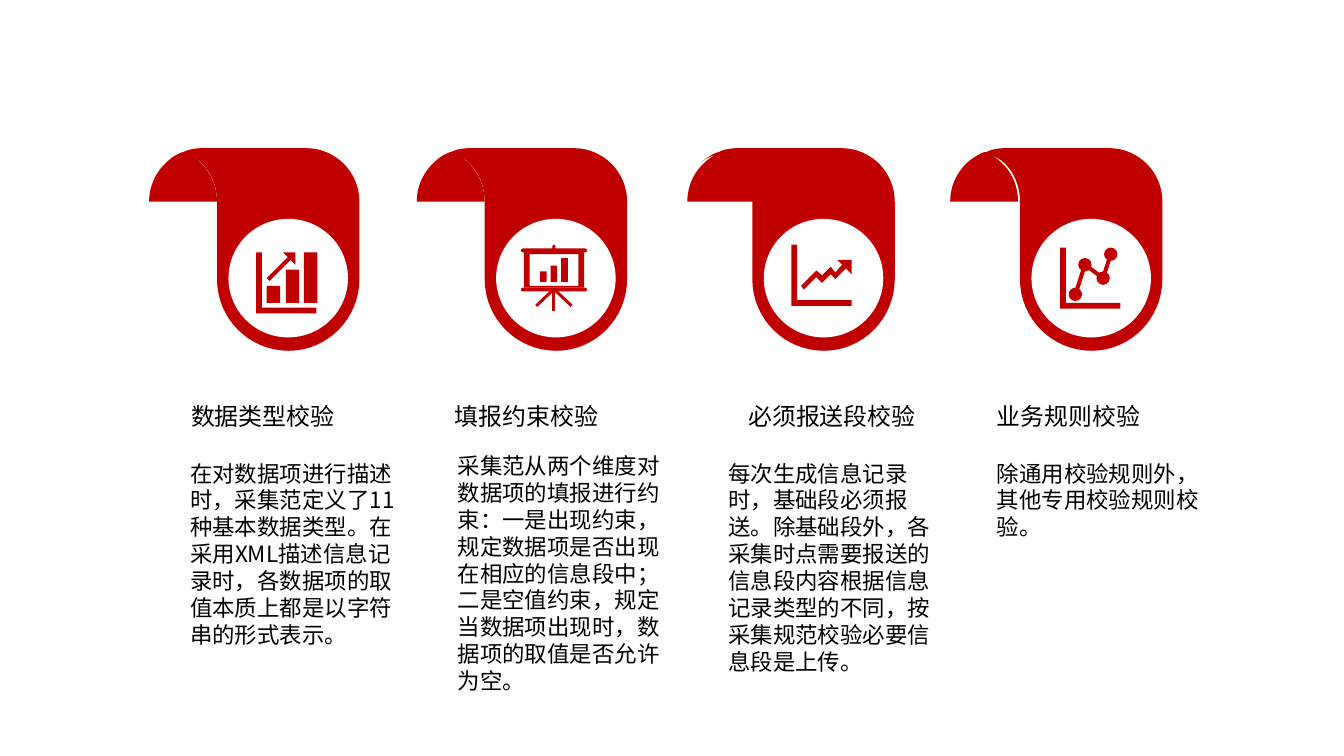
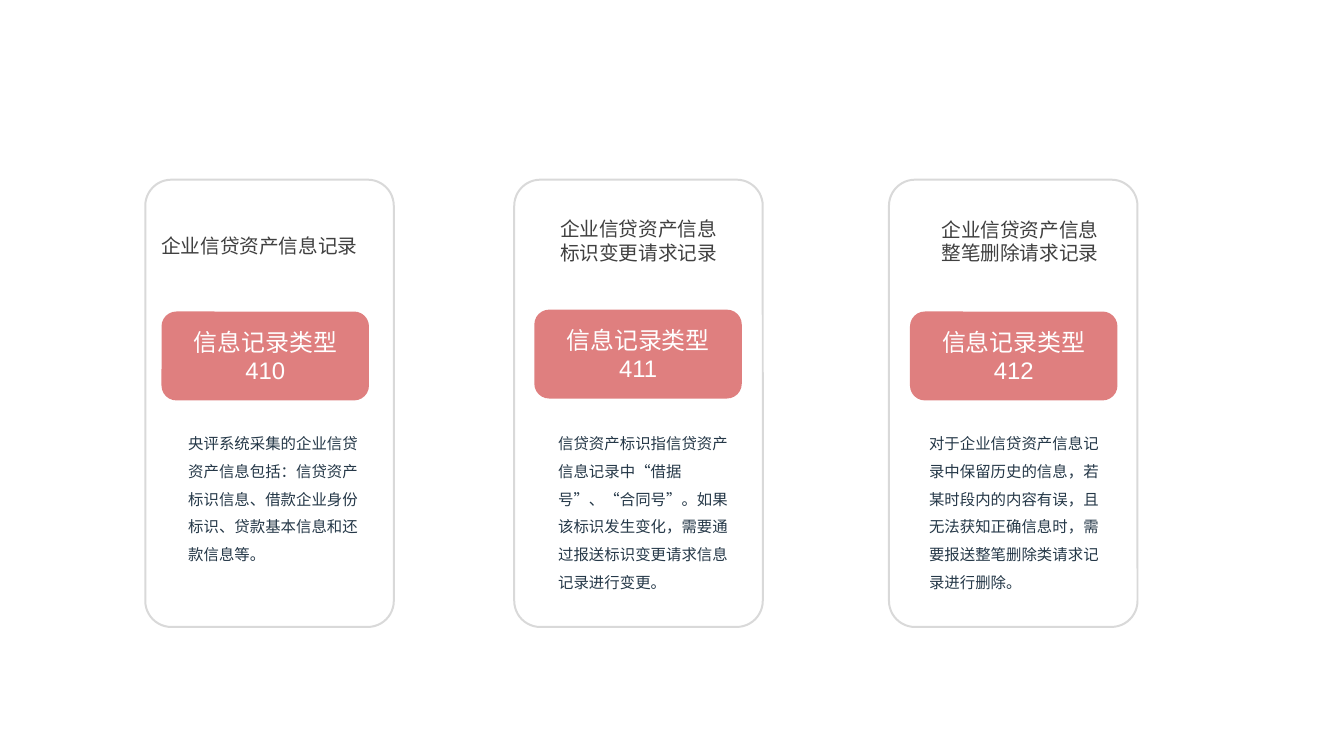
"""Build two slides: four validation checks and three record types."""
from lxml.etree import SubElement
from pptx import Presentation
from pptx.dml.color import RGBColor
from pptx.enum.shapes import MSO_CONNECTOR, MSO_SHAPE
from pptx.enum.text import MSO_ANCHOR, MSO_AUTO_SIZE, PP_ALIGN
from pptx.oxml.ns import qn
from pptx.util import Inches, Pt

COLORS = {"red": "C00000", "white": "FFFFFF", "black": "000000",
          "border": "D9D9D9", "heading": "404040", "body": "253848"}
CJK_FONT = "Noto Sans CJK SC"
LATIN_FONT = "Arial"

CHECKS = [
    {"heading": "数据类型校验", "heading_at": (1.9, 4.15, 1.72, 0.4), "fold_left": 1.56,
     "body": "在对数据项进行描述时，采集范定义了11种基本数据类型。在采用XML描述信息记录时，"
             "各数据项的取值本质上都是以字符串的形式表示。",
     "body_at": (1.89, 4.76, 2.41, 2.09)},
    {"heading": "填报约束校验", "heading_at": (4.66, 4.15, 1.72, 0.4), "fold_left": 4.36,
     "body": "采集范从两个维度对数据项的填报进行约束：一是出现约束，规定数据项是否出现在相应的信息段中；"
             "二是空值约束，规定当数据项出现时，数据项的取值是否允许为空。",
     "body_at": (4.69, 4.68, 2.36, 2.66)},
    {"heading": "必须报送段校验", "heading_at": (7.73, 4.15, 1.97, 0.4), "fold_left": 7.19,
     "body": "每次生成信息记录时，基础段必须报送。除基础段外，各采集时点需要报送的信息段内容"
             "根据信息记录类型的不同，按采集规范校验必要信息段是上传。",
     "body_at": (7.52, 4.76, 2.39, 2.37)},
    {"heading": "业务规则校验", "heading_at": (10.33, 4.15, 1.72, 0.4), "fold_left": 9.94,
     "body": "除通用校验规则外，其他专用校验规则校验。",
     "body_at": (10.33, 4.76, 2.34, 0.95)},
]

RECORDS = [
    {"heading": ["企业信贷资产信息记录"], "heading_at": (1.59, 2.4, 2.27, 0.35),
     "card_left": 1.52, "pill_at": (1.69, 3.26), "code": "410",
     "body": "央评系统采集的企业信贷资产信息包括：信贷资产标识信息、借款企业身份标识、"
             "贷款基本信息和还款信息等。",
     "body_at": (1.87, 4.4, 1.98, 1.53)},
    {"heading": ["企业信贷资产信息", "标识变更请求记录"], "heading_at": (5.75, 2.22, 1.86, 0.6),
     "card_left": 5.38, "pill_at": (5.59, 3.24), "code": "411",
     "body": "信贷资产标识指信贷资产信息记录中“借据号”、“合同号”。如果该标识发生变化，"
             "需要通过报送标识变更请求信息记录进行变更。",
     "body_at": (5.74, 4.4, 1.98, 1.82)},
    {"heading": ["企业信贷资产信息", "整笔删除请求记录"], "heading_at": (9.74, 2.23, 1.86, 0.6),
     "card_left": 9.3, "pill_at": (9.52, 3.26), "code": "412",
     "body": "对于企业信贷资产信息记录中保留历史的信息，若某时段内的内容有误，且无法获知正确信息时，"
             "需要报送整笔删除类请求记录进行删除。",
     "body_at": (9.62, 4.4, 1.98, 1.82)},
]

RIBBON_PITCH = 2.8
CURVE_STEPS = 16
FOLD = [(0.36, 0), (0.15, 0.08, 0, 0.28, 0, 0.52), (0.71, 0.52),
        (0.71, 0.28, 0.57, 0.08, 0.36, 0)]
RIBBON = [(3.2, 1.55), (2.13, 1.55), (2.05, 1.55, 1.98, 1.56, 1.92, 1.59),
          (1.85, 1.61, 1.79, 1.65, 1.74, 1.7), (1.84, 1.6, 1.99, 1.6, 2.1, 1.7),
          (2.21, 1.8, 2.27, 1.95, 2.27, 2.11), (2.27, 2.92),
          (2.27, 3.33, 2.6, 3.67, 3.02, 3.67), (3.43, 3.67, 3.76, 3.33, 3.76, 2.92),
          (3.76, 2.11), (3.76, 1.8, 3.51, 1.55, 3.2, 1.55)]
AXES = [(0, 0), (0.06, 0), (0.06, 0.58), (0.63, 0.58), (0.63, 0.64), (0, 0.64)]
RISING_ARROW = [(3.09, 2.77), (3.09, 2.64), (2.96, 2.64), (3.01, 2.69),
                (2.79, 2.91), (2.82, 2.94), (3.04, 2.72)]
ZIGZAG_ARROW = [(8.76, 2.72), (8.81, 2.77), (8.74, 2.85), (8.69, 2.79), (8.6, 2.88),
                (8.54, 2.83), (8.38, 2.99), (8.41, 3.03), (8.54, 2.9), (8.6, 2.96),
                (8.69, 2.87), (8.74, 2.92), (8.85, 2.81), (8.91, 2.87), (8.91, 2.72)]
BOARD = [(5.48, 2.63), (6.11, 2.63), (6.11, 3.01), (5.48, 3.01)]
BOARD_WINDOW = [(5.54, 2.66), (5.54, 2.99), (6.05, 2.99), (6.05, 2.66)]
BOARD_RAILS = [(5.45, 2.6, 0.69, 0.04), (5.45, 3.01, 0.69, 0.04), (5.78, 2.56, 0.03, 0.06)]
BOARD_LEGS = [(5.79, 3.03, 5.61, 3.2), (5.79, 3.03, 5.79, 3.25), (5.8, 3.03, 5.98, 3.2)]
CHART_BARS = [(2.79, 2.99, 0.14, 0.18), (2.99, 2.82, 0.14, 0.35), (3.18, 2.64, 0.14, 0.53)]
BOARD_BARS = [(5.65, 2.84, 0.07, 0.11), (5.76, 2.78, 0.07, 0.17), (5.87, 2.7, 0.07, 0.25)]
DOTS = [(11.25, 3.08), (11.35, 2.77), (11.54, 2.91), (11.62, 2.66)]
DOT_RADIUS = 0.07


def color(name):
    return RGBColor.from_string(COLORS[name])


def flatten(steps):
    """Turn points and cubic curves into a list of points."""
    points = []
    for step in steps:
        if len(step) == 2:
            points.append(step)
            continue
        start = points[-1]
        for index in range(1, CURVE_STEPS + 1):
            t = index / CURVE_STEPS
            weights = ((1 - t) ** 3, 3 * t * (1 - t) ** 2, 3 * t * t * (1 - t), t ** 3)
            controls = (start, step[:2], step[2:4], step[4:])
            points.append(tuple(sum(weight * control[axis]
                                    for weight, control in zip(weights, controls))
                                for axis in (0, 1)))
    return points


def paint(shape, fill):
    shape.shadow.inherit = False
    shape.fill.solid()
    shape.fill.fore_color.rgb = color(fill)
    shape.line.fill.background()
    return shape


def add_outline(shapes, *contours, left=0, top=0):
    """Draw closed red contours as one shape."""
    builder = None
    for contour in contours:
        points = [(Inches(left + x), Inches(top + y)) for x, y in flatten(contour)]
        if builder is None:
            builder = shapes.build_freeform(*points[0], scale=1.0)
        else:
            builder.move_to(*points[0])
        builder.add_line_segments(points[1:], close=True)
    return paint(builder.convert_to_shape(), "red")


def add_preset(shapes, kind, at, fill="red"):
    return paint(shapes.add_shape(kind, *map(Inches, at)), fill)


def add_stroke(shapes, ends, width):
    stroke = shapes.add_connector(MSO_CONNECTOR.STRAIGHT, *map(Inches, ends))
    stroke.line.color.rgb = color("red")
    stroke.line.width = Pt(width)
    SubElement(stroke.element.spPr, qn("a:effectLst"))


def write(frame, lines, size, ink, latin=CJK_FONT, align=PP_ALIGN.LEFT, spacing=None):
    for index, line in enumerate(lines):
        para = frame.paragraphs[0] if index == 0 else frame.add_paragraph()
        para.text = line
        para.alignment = align
        if spacing:
            para.line_spacing = spacing
        para.font.size = Pt(size)
        para.font.name = latin
        para.font.color.rgb = color(ink)
        properties = para._p.get_or_add_pPr()
        properties.set("hangingPunct", "0")
        east_asian = SubElement(properties.find(qn("a:defRPr")), qn("a:ea"))
        east_asian.set("typeface", CJK_FONT)


def add_text(page, at, lines, size, ink, wrap=True, **style):
    frame = page.shapes.add_textbox(*map(Inches, at)).text_frame
    frame.word_wrap = wrap
    frame.auto_size = MSO_AUTO_SIZE.SHAPE_TO_FIT_TEXT
    write(frame, lines, size, ink, **style)


def draw_bar_icon(shapes):
    add_outline(shapes, AXES, left=2.68, top=2.64)
    for bar in CHART_BARS:
        add_preset(shapes, MSO_SHAPE.RECTANGLE, bar)
    add_outline(shapes, RISING_ARROW)


def draw_board_icon(shapes):
    add_outline(shapes, BOARD, BOARD_WINDOW)
    for rail in BOARD_RAILS:
        add_preset(shapes, MSO_SHAPE.ROUNDED_RECTANGLE, rail).adjustments[0] = 0.5
    for leg in BOARD_LEGS:
        add_stroke(shapes, leg, 2.25)
    for bar in BOARD_BARS:
        add_preset(shapes, MSO_SHAPE.RECTANGLE, bar)


def draw_trend_icon(shapes):
    add_outline(shapes, AXES, left=8.28, top=2.56)
    add_outline(shapes, ZIGZAG_ARROW)


def draw_dot_icon(shapes):
    add_outline(shapes, AXES, left=11.09, top=2.59)
    for start, end in zip(DOTS, DOTS[1:]):
        add_stroke(shapes, start + end, 3)
    for x, y in DOTS:
        add_preset(shapes, MSO_SHAPE.OVAL,
                   (x - DOT_RADIUS, y - DOT_RADIUS, 2 * DOT_RADIUS, 2 * DOT_RADIUS))


def build_checks(page):
    icons = (draw_bar_icon, draw_board_icon, draw_trend_icon, draw_dot_icon)
    for index, (check, draw_icon) in enumerate(zip(CHECKS, icons)):
        shift = index * RIBBON_PITCH
        add_outline(page.shapes, FOLD, left=check["fold_left"], top=1.59)
        add_outline(page.shapes, RIBBON, left=shift)
        add_preset(page.shapes, MSO_SHAPE.OVAL, (2.39 + shift, 2.29, 1.25, 1.24), "white")
        draw_icon(page.shapes.add_group_shape().shapes)
        add_text(page, check["heading_at"], [check["heading"]], 18, "black", wrap=False)
        add_text(page, check["body_at"], [check["body"]], 16.9, "black")


def build_records(page):
    for record in RECORDS:
        card = add_preset(page.shapes, MSO_SHAPE.ROUNDED_RECTANGLE,
                          (record["card_left"], 1.88, 2.6, 4.68), "white")
        card.adjustments[0] = 0.105
        card.fill.background()
        card.line.color.rgb = color("border")
        card.line.width = Pt(1.5)
        heading = record["heading"]
        align = PP_ALIGN.CENTER if len(heading) > 1 else PP_ALIGN.LEFT
        add_text(page, record["heading_at"], heading, 14.8, "heading", wrap=False, align=align)
        add_text(page, record["body_at"], [record["body"]], 11.6, "body", spacing=1.5)
        pill = add_preset(page.shapes, MSO_SHAPE.ROUNDED_RECTANGLE,
                          record["pill_at"] + (2.17, 0.93))
        tint = pill.element.spPr.find(qn("a:solidFill")).find(qn("a:srgbClr"))
        SubElement(tint, qn("a:alpha")).set("val", "50000")
        pill.text_frame.vertical_anchor = MSO_ANCHOR.MIDDLE
        write(pill.text_frame, ["信息记录类型", record["code"]], 18, "white",
              latin=LATIN_FONT, align=PP_ALIGN.CENTER)


def main():
    deck = Presentation()
    deck.slide_width, deck.slide_height = Inches(14.06), Inches(7.91)
    for build in (build_checks, build_records):
        build(deck.slides.add_slide(deck.slide_layouts[6]))
    deck.save("out.pptx")


if __name__ == "__main__":
    main()
